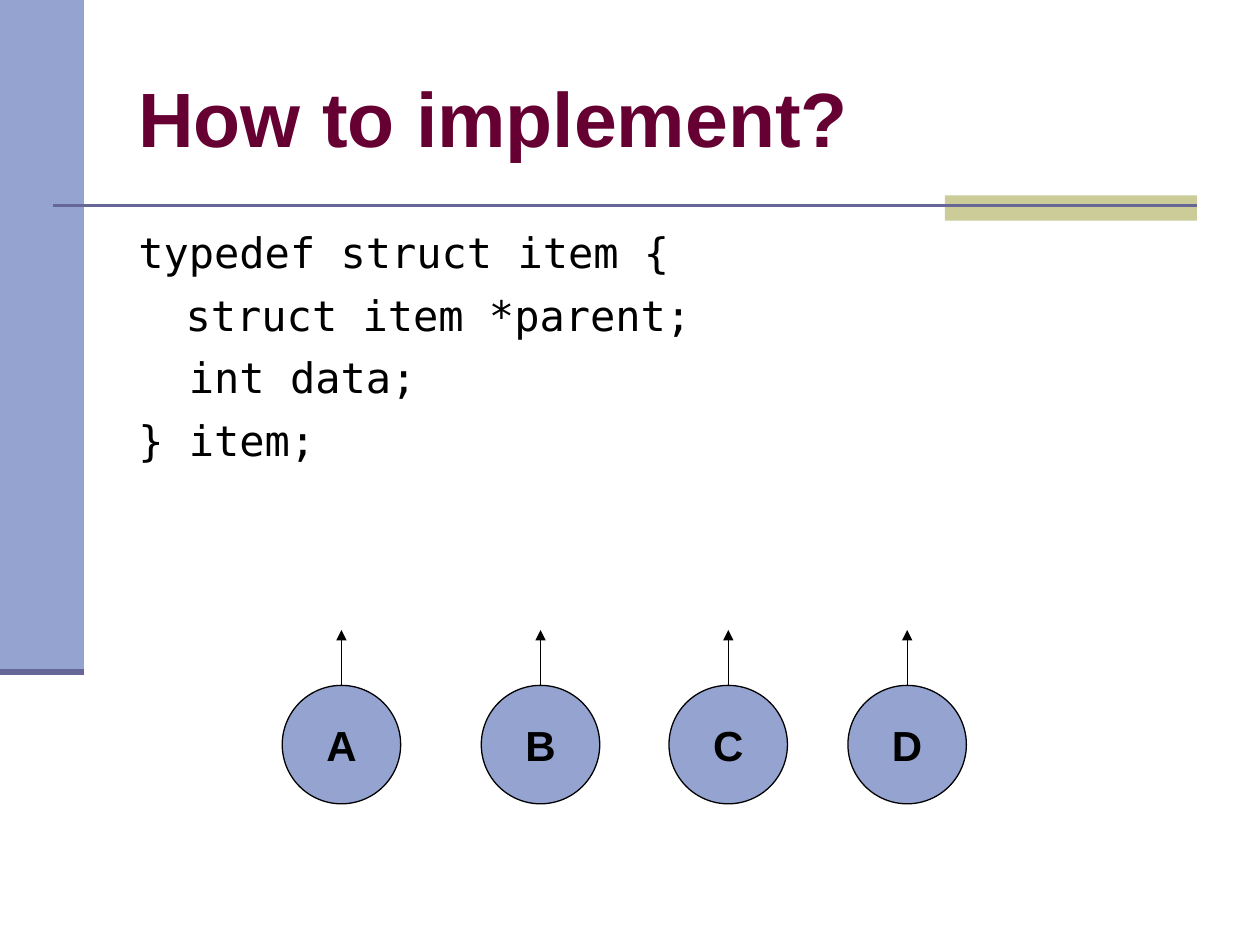
from lxml import etree
from pptx import Presentation
from pptx import util as u
from pptx.dml.color import RGBColor
from pptx.enum import shapes, text
from pptx.oxml.ns import qn

WIDTH, HEIGHT = u.Inches(10), u.Inches(7.5)
COLORS = {
    "periwinkle": "95A3D1",
    "khaki": "CCCC99",
    "slate": "666699",
    "maroon": "660033",
    "black": "000000",
}
SANS, MONO = "Arial", "DejaVu Sans Mono"
CODE = ["typedef struct item {", "\tstruct item *parent;", "  int data;", "} item;"]
NODE_CENTERS = {"A": 27.1, "B": 42.9, "C": 57.8, "D": 72}
NODE_TOP, NODE_SIZE, ARROW_TIP = 72.53, 9.4, 66.67


def across(percent):
    return round(WIDTH * percent / 100)


def down(percent):
    return round(HEIGHT * percent / 100)


def color(name):
    return RGBColor.from_string(COLORS[name])


def format_text(paragraph, font_name, size, color_name, bold=False):
    for run in paragraph.runs:
        run.font.name = font_name
        run.font.size = u.Pt(size)
        run.font.bold = bold
        run.font.color.rgb = color(color_name)


def add_filled_shape(slide, kind, left, top, width, height, fill):
    shape = slide.shapes.add_shape(kind, left, top, width, height)
    shape.shadow.inherit = False
    shape.fill.solid()
    shape.fill.fore_color.rgb = color(fill)
    shape.line.fill.background()
    return shape


def add_line(slide, start, end, color_name, weight):
    line = slide.shapes.add_connector(shapes.MSO_CONNECTOR.STRAIGHT, *start, *end)
    line.line.color.rgb = color(color_name)
    line.line.width = u.Pt(weight)
    etree.SubElement(line._element.spPr, qn("a:effectLst"))
    return line


def add_text_box(slide, left, top, width, height, anchor):
    frame = slide.shapes.add_textbox(left, top, width, height).text_frame
    frame.word_wrap = True
    frame.vertical_anchor = anchor
    return frame


def add_frame_decoration(slide):
    rectangle = shapes.MSO_SHAPE.RECTANGLE
    bar_width, bar_height = across(6.67), down(71.11)
    add_filled_shape(slide, rectangle, 0, 0, bar_width, bar_height, "periwinkle")
    add_filled_shape(slide, rectangle, across(75), down(20.67),
                     across(20), down(2.67), "khaki")
    add_line(slide, (across(4.2), down(21.73)), (across(95), down(21.73)), "slate", 1.5)
    add_line(slide, (0, bar_height), (bar_width, bar_height), "slate", 3.5)


def add_title(slide, title):
    frame = add_text_box(slide, across(10), down(4), across(85), down(16.67),
                         text.MSO_ANCHOR.MIDDLE)
    frame.text = title
    format_text(frame.paragraphs[0], SANS, 44, "maroon", bold=True)


def add_code(slide, lines):
    frame = add_text_box(slide, across(10), down(23.33), across(85), down(66),
                         text.MSO_ANCHOR.TOP)
    frame.text = "\n".join(lines)
    for index, paragraph in enumerate(frame.paragraphs):
        properties = paragraph._p.get_or_add_pPr()
        properties.set("marL", str(across(3.75)))
        properties.set("indent", str(-across(3.75)))
        if index:
            paragraph.space_before = u.Pt(7)
        format_text(paragraph, MONO, 24, "black")


def add_node(slide, label, center):
    """Draw a labelled circle with its parent pointer rising from the top."""
    size = across(NODE_SIZE)
    circle = add_filled_shape(slide, shapes.MSO_SHAPE.OVAL, across(center) - size // 2,
                              down(NODE_TOP), size, size, "periwinkle")
    circle.line.color.rgb = color("black")
    circle.line.width = u.Pt(0.75)
    frame = circle.text_frame
    frame.word_wrap = False
    frame.vertical_anchor = text.MSO_ANCHOR.MIDDLE
    frame.text = label
    frame.paragraphs[0].alignment = text.PP_ALIGN.CENTER
    format_text(frame.paragraphs[0], SANS, 24, "black", bold=True)

    pointer = add_line(slide, (across(center), down(NODE_TOP)),
                       (across(center), down(ARROW_TIP)), "black", 0.75)
    pointer.begin_connect(circle, 0)
    etree.SubElement(pointer.line._get_or_add_ln(), qn("a:tailEnd"), type="triangle")


def main():
    presentation = Presentation()
    presentation.slide_width, presentation.slide_height = WIDTH, HEIGHT
    slide = presentation.slides.add_slide(presentation.slide_layouts[6])
    add_frame_decoration(slide)
    add_title(slide, "How to implement?")
    add_code(slide, CODE)
    for label, center in NODE_CENTERS.items():
        add_node(slide, label, center)
    presentation.save("out.pptx")


if __name__ == "__main__":
    main()
